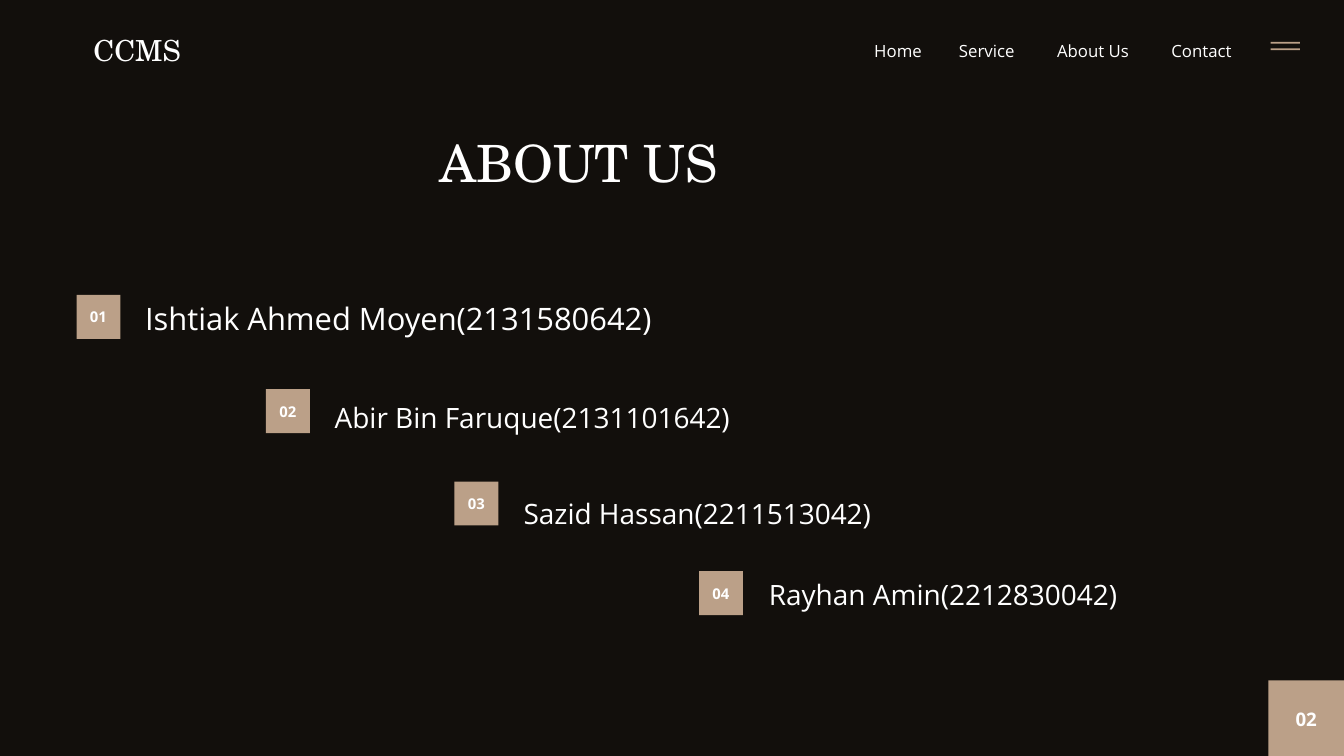
from pptx import Presentation
from pptx.dml.color import RGBColor
from pptx.enum.shapes import MSO_SHAPE
from pptx.enum.text import MSO_ANCHOR, MSO_AUTO_SIZE, PP_ALIGN
from pptx.util import Pt

SANS, SERIF = "Open Sans", "TeX Gyre Schola"
BACKGROUND, TAN, WHITE = "120F0C", "BBA088", "FFFFFF"


def paint(color_format, hex_color):
    color_format.rgb = RGBColor.from_string(hex_color)


def write(shape, text, size, font=SANS, bold=False, align=PP_ALIGN.LEFT,
          anchor=MSO_ANCHOR.TOP, bottom=0):
    frame = shape.text_frame
    frame_format = {
        "word_wrap": True, "auto_size": MSO_AUTO_SIZE.NONE, "vertical_anchor": anchor,
        "margin_left": 0, "margin_right": 0, "margin_top": 0, "margin_bottom": Pt(bottom),
    }
    for name, value in frame_format.items():
        setattr(frame, name, value)
    line = frame.paragraphs[0]
    line.alignment = align
    line.line_spacing = Pt(round(size * 1.4, 1))
    run = line.add_run()
    run.text = text
    for name, value in {"name": font, "size": Pt(size), "bold": bold}.items():
        setattr(run.font, name, value)
    paint(run.font.color, WHITE)


prs = Presentation()
prs.slide_width, prs.slide_height = Pt(1440), Pt(810)
slide = prs.slides.add_slide(prs.slide_layouts[5])
slide.background.fill.solid()
paint(slide.background.fill.fore_color, BACKGROUND)

heading = slide.shapes.title
for name, value in {"left": 471, "top": 129.6, "width": 313, "height": 74}.items():
    setattr(heading, name, Pt(value))
write(heading, "ABOUT US", 55, SERIF)

tan_blocks = [
    (82, 316, 47, 47, "01", 15.9),
    (285, 417, 47, 47, "02", 15.9),
    (487, 516, 47, 47, "03", 15.9),
    (749, 612, 47, 47, "04", 15.9),
    (1359, 729, 81, 81, "02", 20),
    (1361.5, 44.8, 31.3, 2.1, "", 0),
    (1361.5, 51.8, 31.3, 2.1, "", 0),
]
for left, top, width, height, number, size in tan_blocks:
    block = slide.shapes.add_shape(MSO_SHAPE.RECTANGLE, Pt(left), Pt(top), Pt(width), Pt(height))
    block.shadow.inherit = False
    block.fill.solid()
    paint(block.fill.fore_color, TAN)
    block.line.fill.background()
    if number:
        write(block, number, size, bold=True, align=PP_ALIGN.CENTER,
              anchor=MSO_ANCHOR.MIDDLE, bottom=3)

labels = [
    ("CCMS", 100, 28.8, 142, 42, 31.1, SERIF),
    ("Home", 936.7, 40.3, 64, 24, 18, SANS),
    ("Service", 1027.4, 40.3, 78.5, 24, 18, SANS),
    ("About Us", 1132.6, 40.3, 83.5, 24, 18, SANS),
    ("Contact", 1255, 40.3, 77, 24, 18, SANS),
    ("Ishtiak Ahmed Moyen(2131580642)", 155.5, 314.6, 645, 45, 33.1, SANS),
    ("Abir Bin Faruque(2131101642)", 358.6, 423.4, 554, 40, 30, SANS),
    ("Sazid Hassan(2211513042)", 561, 526.3, 554, 40, 30, SANS),
    ("Rayhan Amin(2212830042)", 823.7, 612.7, 554, 40, 30, SANS),
]
for text, left, top, width, height, size, font in labels:
    label = slide.shapes.add_textbox(Pt(left), Pt(top), Pt(width), Pt(height))
    write(label, text, size, font)

prs.save("out.pptx")
